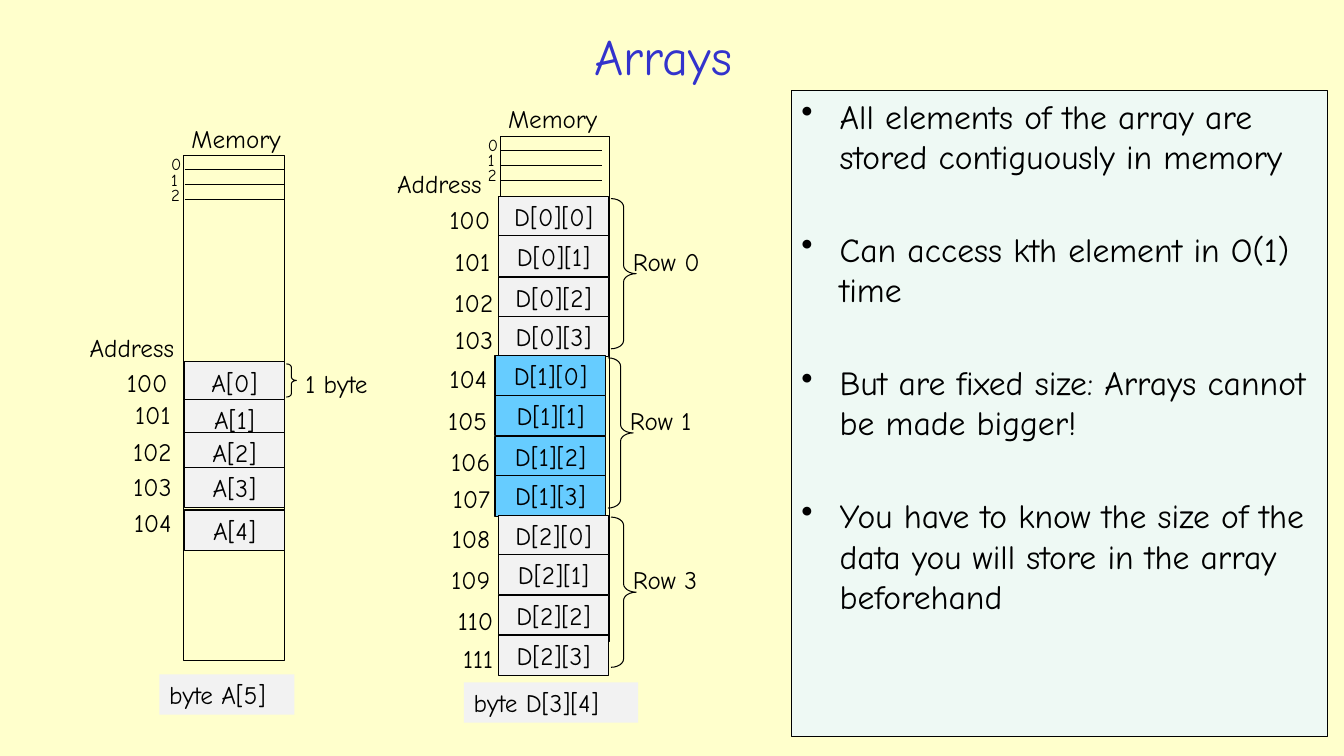
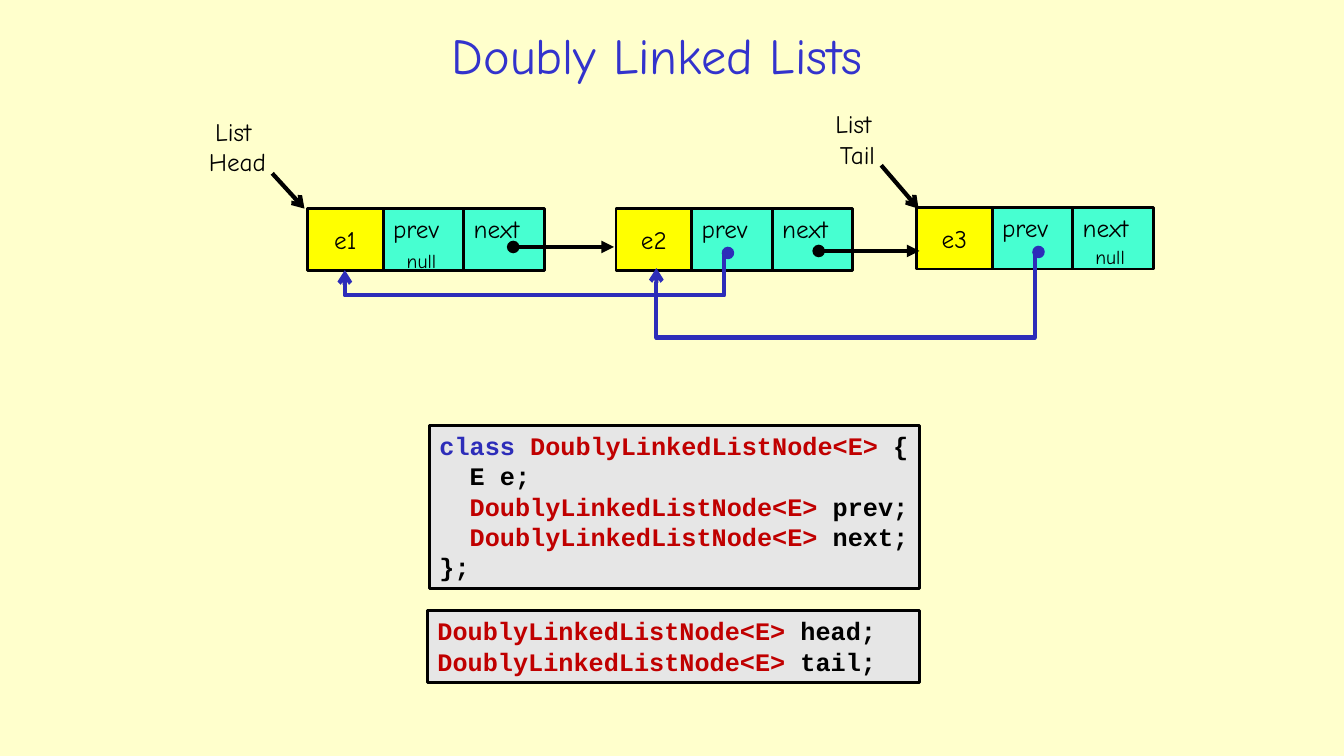
from lxml.etree import SubElement
from pptx import Presentation
from pptx.dml.color import RGBColor
from pptx.enum.shapes import MSO_CONNECTOR, MSO_SHAPE
from pptx.enum.text import MSO_ANCHOR, MSO_AUTO_SIZE, PP_ALIGN
from pptx.oxml.ns import qn
from pptx.util import Emu, Pt

EMU_PER_PX = 9144  # 100 px to the inch
TEXT_FONT, CODE_FONT = "Comic Neue", "Courier New"
PAPER, TITLE_BLUE, BLACK = "FFFFCC", "3333CC", "000000"
CELL_GREY, ROW_BLUE, NOTE_GREEN = "F2F2F2", "66CCFF", "EEF9F4"
VALUE_YELLOW, LINK_GREEN, CODE_GREY = "FFFF00", "47FFD1", "E6E6E6"
KEYWORD_BLUE, TYPE_RED = "2D2DB9", "C00000"
LEFT, CENTER, RIGHT = PP_ALIGN.LEFT, PP_ALIGN.CENTER, PP_ALIGN.RIGHT
TITLE_ONLY = 5


def px(*lengths):
    return [Emu(round(length * EMU_PER_PX)) for length in lengths]


def color(hex_code):
    return RGBColor.from_string(hex_code)


def set_font(font, size, hex_code=BLACK, name=TEXT_FONT, bold=False):
    font.name, font.size, font.bold = name, Pt(size), bold
    font.color.rgb = color(hex_code)


def write(box, lines, size=18, align=LEFT, anchor=MSO_ANCHOR.TOP, wrap=True,
          name=TEXT_FONT, bold=False):
    """Write each line as a paragraph; a line is a string or (text, colour) pairs."""
    frame = box.text_frame
    frame.word_wrap, frame.vertical_anchor = wrap, anchor
    for index, line in enumerate(lines):
        para = frame.add_paragraph() if index else frame.paragraphs[0]
        para.alignment = align
        set_font(para.font, size, BLACK, name, bold)
        if isinstance(line, str):
            para.add_run().text = line
            continue
        for text, hex_code in line:
            span = para.add_run()
            span.text = text
            span.font.color.rgb = color(hex_code)


def add_title_slide(deck, title, left, top, width, height):
    page = deck.slides.add_slide(deck.slide_layouts[TITLE_ONLY])
    box = page.shapes.title
    box.left, box.top, box.width, box.height = px(left, top, width, height)
    box.text_frame.text = title
    box.text_frame.auto_size = MSO_AUTO_SIZE.NONE
    box.text_frame.vertical_anchor = MSO_ANCHOR.MIDDLE
    para = box.text_frame.paragraphs[0]
    para.alignment = CENTER
    set_font(para.font, 36, TITLE_BLUE)
    return page


def add_label(page, lines, left, top, width, height=40, size=18, align=LEFT):
    box = page.shapes.add_textbox(*px(left, top, width, height))
    write(box, lines, size, align, wrap=False)
    box.text_frame.auto_size = MSO_AUTO_SIZE.SHAPE_TO_FIT_TEXT


def add_block(page, left, top, width, height, fill=None, line_width=0.75,
              preset=MSO_SHAPE.RECTANGLE):
    block = page.shapes.add_shape(preset, *px(left, top, width, height))
    block.shadow.inherit = False
    if fill:
        block.fill.solid()
        block.fill.fore_color.rgb = color(fill)
    else:
        block.fill.background()
    if line_width:
        block.line.color.rgb = color(BLACK)
        block.line.width = Pt(line_width)
    else:
        block.line.fill.background()
    return block


def add_brace(page, left, top, width, height):
    brace = add_block(page, left, top, width, height, preset=MSO_SHAPE.RIGHT_BRACE)
    brace.adjustments[0] = 0.33


def add_line(page, start, end, hex_code=BLACK, width=0.75, head=None, tail=None,
             kind=MSO_CONNECTOR.STRAIGHT):
    line = page.shapes.add_connector(kind, *px(*start, *end))
    line.line.color.rgb = color(hex_code)
    line.line.width = Pt(width)
    properties = line._element.spPr
    outline = properties.find(qn("a:ln"))
    for tag, arrow in (("a:headEnd", head), ("a:tailEnd", tail)):
        if arrow:
            SubElement(outline, qn(tag), type=arrow)
    SubElement(properties, qn("a:effectLst"))
    return line


def add_back_link(page, start, end, bottom):
    """Link from start, down to bottom, left, and up to end."""
    line = add_line(page, start, end, KEYWORD_BLUE, 3, "oval", "arrow",
                    MSO_CONNECTOR.ELBOW)
    properties = line._element.spPr
    transform = properties.find(qn("a:xfrm"))
    transform.attrib.pop("flipH", None)
    transform.set("rot", "10800000")
    transform.set("flipV", "1")
    geometry = properties.find(qn("a:prstGeom"))
    geometry.set("prst", "bentConnector4")
    guides = geometry.find(qn("a:avLst"))
    if guides is None:
        guides = SubElement(geometry, qn("a:avLst"))
    drop = (bottom - start[1]) / (end[1] - start[1])
    for guide, ratio in (("adj1", 0.01), ("adj2", drop)):
        SubElement(guides, qn("a:gd"), name=guide, fmla=f"val {round(ratio * 100000)}")


def add_memory(page, left, top, width):
    """Memory column with its heading and its first three addresses."""
    add_block(page, left, top, width, 501)
    add_label(page, ["Memory"], left - 2, top - 37, 115)
    for index in range(3):
        offset = 15 * index
        add_label(page, [str(index)], left - 22, top - 6 + offset,
                  28 if index == 1 else 31, 30, 12)
        tick = top + 14 + offset
        add_line(page, (left + 1, tick), (left + 101, tick))


def add_cell(page, text, left, top, width, fill=CELL_GREY):
    write(add_block(page, left, top, width, 40, fill), [text], align=CENTER)


def add_address(page, address, right, top):
    text = str(address)
    width = 66 - 4 * text.count("1")
    add_label(page, [text], right - width, top, width, align=RIGHT)


def add_declaration(page, text, left, top, width):
    write(add_block(page, left, top, width, 40, CELL_GREY, 0), [text], wrap=False)


def add_bullets(page, items, left, top, width, height):
    box = add_block(page, left, top, width, height, NOTE_GREEN)
    write(box, items, 24)
    for index, para in enumerate(box.text_frame.paragraphs):
        properties = para._p.get_or_add_pPr()
        indent = px(38)[0]
        properties.set("marL", str(indent))
        properties.set("indent", str(-indent))
        bullet = SubElement(properties, qn("a:buChar"), char="•")
        properties.find(qn("a:defRPr")).addprevious(bullet)
        if index:
            para.space_before = Pt(37.5)


def add_node(page, value, left, top):
    for text, offset, width, fill, align, anchor in (
            ("prev", 75, 80, LINK_GREEN, LEFT, MSO_ANCHOR.TOP),
            (value, 0, 75, VALUE_YELLOW, CENTER, MSO_ANCHOR.MIDDLE),
            ("next", 155, 80, LINK_GREEN, LEFT, MSO_ANCHOR.TOP)):
        box = add_block(page, left + offset, top, width, 61, fill, 2)
        write(box, [text], align=align, anchor=anchor)


def add_code(page, lines, left, top, width, height):
    box = add_block(page, left, top, width, height, CODE_GREY, 2)
    write(box, lines, name=CODE_FONT, bold=True)


def build_arrays(deck):
    page = add_title_slide(deck, "Arrays", 210, 19, 896, 72)

    add_memory(page, 182, 154, 100)
    add_label(page, ["Address"], 79, 325, 119)
    cells = ((359, 359, 176), (396, 391, 179), (429, 428, 180),
             (464, 463, 180), (506, 498, 180))
    for index, (top, address_top, address_right) in enumerate(cells):
        add_cell(page, f"A[{index}]", 183, top, 99)
        add_address(page, 100 + index, address_right, address_top)
    add_brace(page, 284, 361, 10, 33)
    add_label(page, ["1 byte"], 293, 360, 93)
    add_declaration(page, "byte A[5]", 158, 669, 134)

    add_memory(page, 496, 135, 109)
    add_label(page, ["Address"], 384, 162, 119)
    rows = (("Row 0", 90, 0, CELL_GREY), ("Row 1", 86, -3, ROW_BLUE),
            ("Row 3", 90, 0, CELL_GREY))
    columns = ((0, 0, 0), (39, 41, 0), (80, 82, 3), (119, 119, 3))
    for row, (name, name_width, shift, fill) in enumerate(rows):
        row_top = 195 + 158 * row
        for column, (offset, address_offset, address_shift) in enumerate(columns):
            add_cell(page, f"D[{row}][{column}]", 494 + shift, row_top + offset, 110, fill)
            add_address(page, 100 + len(columns) * row + column,
                        496 + shift + address_shift, row_top + 3 + address_offset)
        add_brace(page, 606 + shift, row_top + 2, 25, 149)
        add_label(page, [name], 618 + shift, row_top + 44, name_width)
    add_declaration(page, "byte D[3][4]", 460, 677, 173)

    add_bullets(page, (
        "All elements of the array are stored contiguously in memory",
        "Can access kth element in O(1) time",
        "But are fixed size: Arrays cannot be made bigger!",
        "You have to know the size of the data you will store in the array beforehand",
    ), 785, 90, 532, 641)


def build_linked_list(deck):
    page = add_title_slide(deck, "Doubly Linked Lists", 204, 26, 896, 55)
    add_label(page, ["List ", "Head"], 195, 110, 81, 71, align=CENTER)
    add_label(page, ["List ", "Tail"], 814, 103, 73, 71, align=CENTER)
    for value, left, top in (("e1", 305, 207), ("e2", 611, 207), ("e3", 909, 206)):
        add_node(page, value, left, top)
    for left, top in ((392, 242), (1075, 238)):
        add_label(page, ["null"], left, top, 52, 34, 14, CENTER)

    for left, top in ((509, 245), (812, 249)):
        add_line(page, (left, top), (left + 100, top), BLACK, 3, "oval", "triangle")
    add_back_link(page, (722, 251), (342, 268), 293)
    add_back_link(page, (1030, 250), (651, 266), 335)
    for start, end in (((874, 164), (911, 207)), ((270, 172), (302, 207))):
        add_line(page, start, end, BLACK, 3, tail="arrow")

    node_type = ("DoublyLinkedListNode<E> ", TYPE_RED)
    indented_type = ("  DoublyLinkedListNode<E> ", TYPE_RED)
    add_code(page, (
        (("class ", KEYWORD_BLUE), node_type, ("{", BLACK)),
        "  E e;",
        (indented_type, ("prev;", BLACK)),
        (indented_type, ("next;", BLACK)),
        "};",
    ), 426, 422, 486, 162)
    add_code(page, (
        (node_type, ("head;", BLACK)),
        (node_type, ("tail;", BLACK)),
    ), 424, 606, 488, 71)


def main():
    deck = Presentation()
    deck.slide_width, deck.slide_height = px(1333, 750)
    background = deck.slide_master.background.fill
    background.solid()
    background.fore_color.rgb = color(PAPER)
    build_arrays(deck)
    build_linked_list(deck)
    deck.save("out.pptx")


if __name__ == "__main__":
    main()
